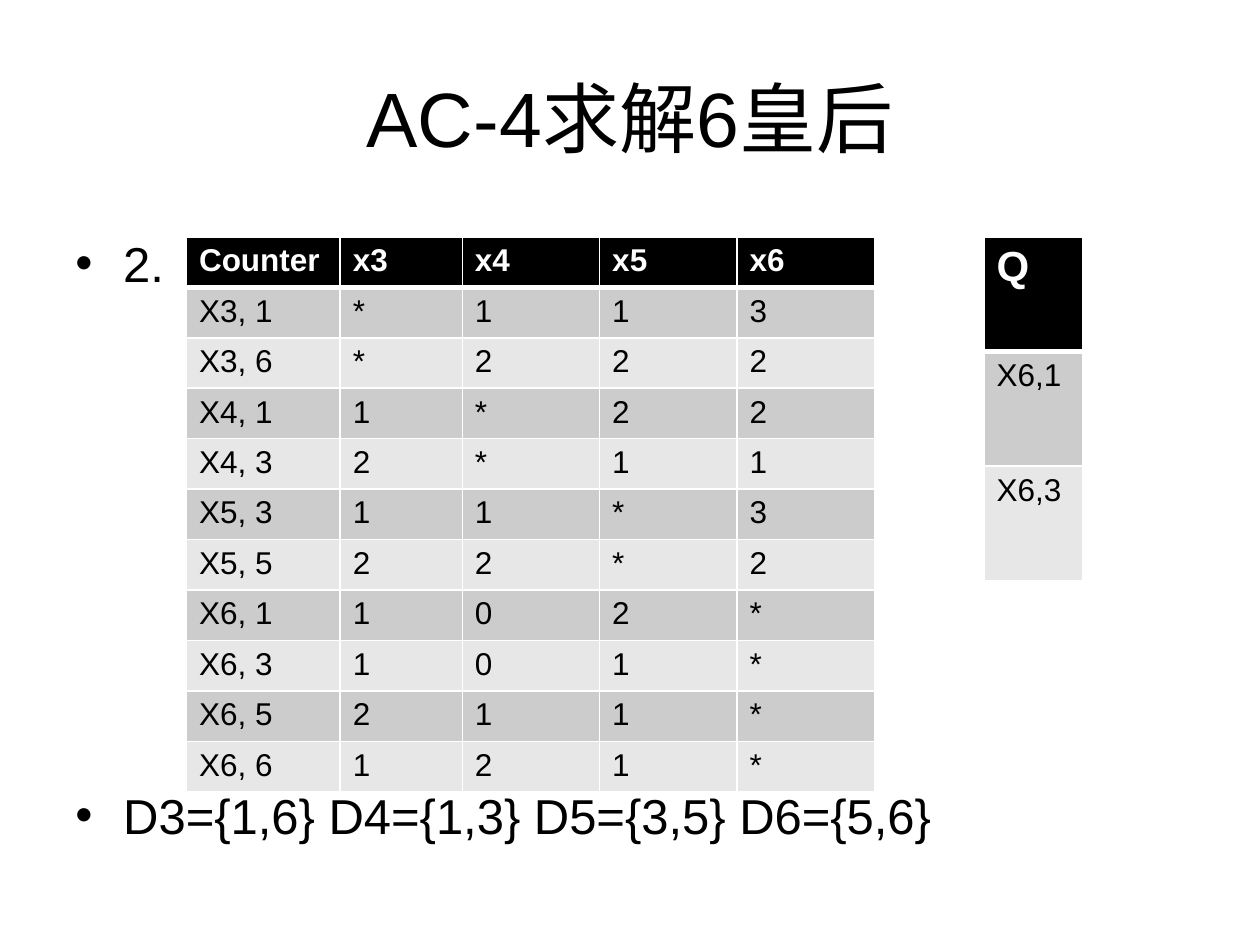
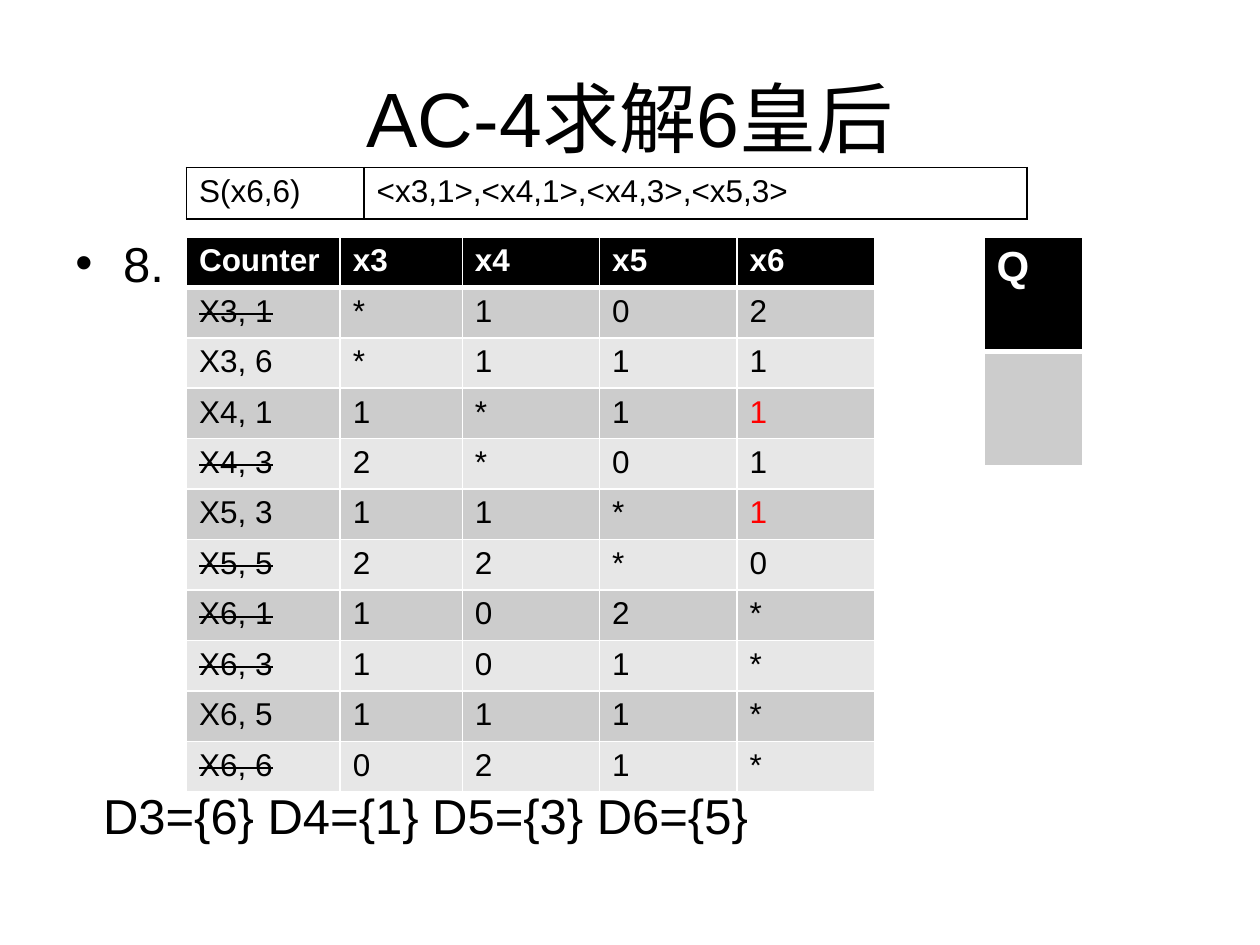
from lxml.etree import SubElement
from pptx import Presentation
from pptx.dml.color import RGBColor
from pptx.enum.text import MSO_ANCHOR as Anchor, PP_ALIGN as Align
from pptx.oxml.ns import qn
from pptx.util import Inches, Pt

COLORS = {"ink": "000000", "paper": "FFFFFF", "odd": "CCCCCC", "even": "E7E7E7",
          "alert": "FF0000"}
FONT = "Arial"
TITLE = "AC-4求解6皇后"
TITLE_ONLY = 5

# Grid of 100 columns by 75 rows; boxes are left, top, width, height
WIDTH, HEIGHT = Inches(10), Inches(7.5)
COL, ROW = WIDTH / 100, HEIGHT / 75
TITLE_BOX = (5, 3, 90, 12.5)
STEP_BOX = (5, 17.5, 90, 49.5)
COUNTER_BOX = (14.8, 18.8, 54.7, 44)
COUNTER_COLS, COUNTER_ROW = (12.2, 9.7, 10.9, 10.9, 10.9), 3.1
QUEUE_BOX = (78.1, 18.8, 7.8, 9.1)
SUPPORT_BOX = (14.8, 13.3, 66.7, 4.1)
SUPPORT_COLS = (14.1, 52.6)

COUNTER_HEAD = ("Counter", "x3", "x4", "x5", "x6")
PAIRS = ("X3, 1", "X3, 6", "X4, 1", "X4, 3", "X5, 3",
         "X5, 5", "X6, 1", "X6, 3", "X6, 5", "X6, 6")


def place(box):
    left, top, width, height = box
    return [round(v) for v in (left * COL, top * ROW, width * COL, height * ROW)]


def style(paragraph, size, color="ink", bold=False):
    font = paragraph.font
    font.name, font.size, font.bold = FONT, Pt(size), bold
    font.color.rgb = RGBColor.from_string(COLORS[color])


def indent(paragraph, margin, bullet):
    """Hang the paragraph on a bullet, or set it flush at the margin."""
    props = paragraph._p.get_or_add_pPr()
    props.set("marL", str(Inches(margin)))
    props.set("indent", str(-Inches(margin) if bullet else 0))
    if bullet:
        SubElement(props, qn("a:buFont")).set("typeface", FONT)
        SubElement(props, qn("a:buChar")).set("char", "•")
    else:
        SubElement(props, qn("a:buNone"))


def border(cell, color, top=1, bottom=1):
    props = cell._tc.get_or_add_tcPr()
    for side, points in (("L", 1), ("R", 1), ("T", top), ("B", bottom)):
        line = SubElement(props, qn(f"a:ln{side}"), w=str(Pt(points)))
        fill = SubElement(line, qn("a:solidFill"))
        SubElement(fill, qn("a:srgbClr"), val=COLORS[color])


def add_grid(slide, box, cols, row_height, rows):
    """Add a bare table filled with rows of text, and return it."""
    frame = slide.shapes.add_table(len(rows), len(cols), *place(box))
    table = frame.table
    table.horz_banding = False
    for column, width in zip(table.columns, cols):
        column.width = round(width * COL)
    for row, texts in zip(table.rows, rows):
        row.height = round(row_height * ROW)
        for cell, text in zip(row.cells, texts):
            cell.text = text
            style(cell.text_frame.paragraphs[0], 18)
    frame.height = round(box[3] * ROW)
    return table


def band(table, head_size):
    """Black heading row over alternating grey rows, with white rules."""
    for i, row in enumerate(table.rows):
        shade = "ink" if i == 0 else "odd" if i % 2 else "even"
        for cell in row.cells:
            border(cell, "paper", 3 if i == 1 else 1, 3 if i == 0 else 1)
            cell.fill.solid()
            cell.fill.fore_color.rgb = RGBColor.from_string(COLORS[shade])
            if i == 0:
                style(cell.text_frame.paragraphs[0], head_size, "paper", bold=True)


def add_title(slide):
    title = slide.shapes.title
    title.left, title.top, title.width, title.height = place(TITLE_BOX)
    title.text_frame.text = TITLE
    title.text_frame.vertical_anchor = Anchor.MIDDLE
    heading = title.text_frame.paragraphs[0]
    heading.alignment = Align.CENTER
    style(heading, 44)


def add_step(slide, number, domains, bulleted):
    """Step number beside the counter table, and the domains below it."""
    frame = slide.shapes.add_textbox(*place(STEP_BOX)).text_frame
    frame.word_wrap = True
    frame.margin_top = Inches(0.1)
    frame.text = f"{number}.\n{domains}"
    step, result = frame.paragraphs
    result.space_before = Pt(282)
    indent(step, 0.38, True)
    indent(result, 0.38 if bulleted else 0.22, bulleted)
    for paragraph in (step, result):
        style(paragraph, 28)


def add_counter(slide, counts, struck, alerts):
    """Support counts; struck pairs are removed, alerts mark the last column."""
    rows = [COUNTER_HEAD] + [(pair, *line) for pair, line in zip(PAIRS, counts)]
    table = add_grid(slide, COUNTER_BOX, COUNTER_COLS, COUNTER_ROW, rows)
    band(table, 18)
    for i, pair in enumerate(PAIRS, 1):
        if pair in struck:
            run = table.cell(i, 0).text_frame.paragraphs[0].runs[0]
            run._r.get_or_add_rPr().set("strike", "sngStrike")
        if pair in alerts:
            style(table.cell(i, 4).text_frame.paragraphs[0], 18, "alert")


def add_queue(slide, entries):
    left, top, width, row_height = QUEUE_BOX
    rows = [("Q",)] + [(entry,) for entry in entries]
    box = (left, top, width, row_height * len(rows))
    band(add_grid(slide, box, (width,), row_height, rows), 24)


def add_support(slide, pair, supported):
    table = add_grid(slide, SUPPORT_BOX, SUPPORT_COLS, SUPPORT_BOX[3], [(pair, supported)])
    table.first_row = False
    for cell in table.iter_cells():
        border(cell, "ink")
        cell.fill.background()


def add_step_slide(deck, number, domains, counts, queue,
                   struck=(), alerts=(), bulleted=True):
    slide = deck.slides.add_slide(deck.slide_layouts[TITLE_ONLY])
    add_title(slide)
    add_step(slide, number, domains, bulleted)
    add_counter(slide, counts, struck, alerts)
    add_queue(slide, queue)
    return slide


def main():
    deck = Presentation()
    deck.slide_width, deck.slide_height = WIDTH, HEIGHT
    add_step_slide(
        deck, 2, "D3={1,6} D4={1,3} D5={3,5} D6={5,6}",
        ("*113", "*222", "1*22", "2*11", "11*3",
         "22*2", "102*", "101*", "211*", "121*"),
        ("X6,1", "X6,3"))
    last = add_step_slide(
        deck, 8, "D3={6} D4={1} D5={3} D6={5}",
        ("*102", "*111", "1*11", "2*01", "11*1",
         "22*0", "102*", "101*", "111*", "021*"),
        ("",),
        struck=("X3, 1", "X4, 3", "X5, 5", "X6, 1", "X6, 3", "X6, 6"),
        alerts=("X4, 1", "X5, 3"), bulleted=False)
    add_support(last, "S(x6,6)", "<x3,1>,<x4,1>,<x4,3>,<x5,3>")
    deck.save("out.pptx")


if __name__ == "__main__":
    main()
